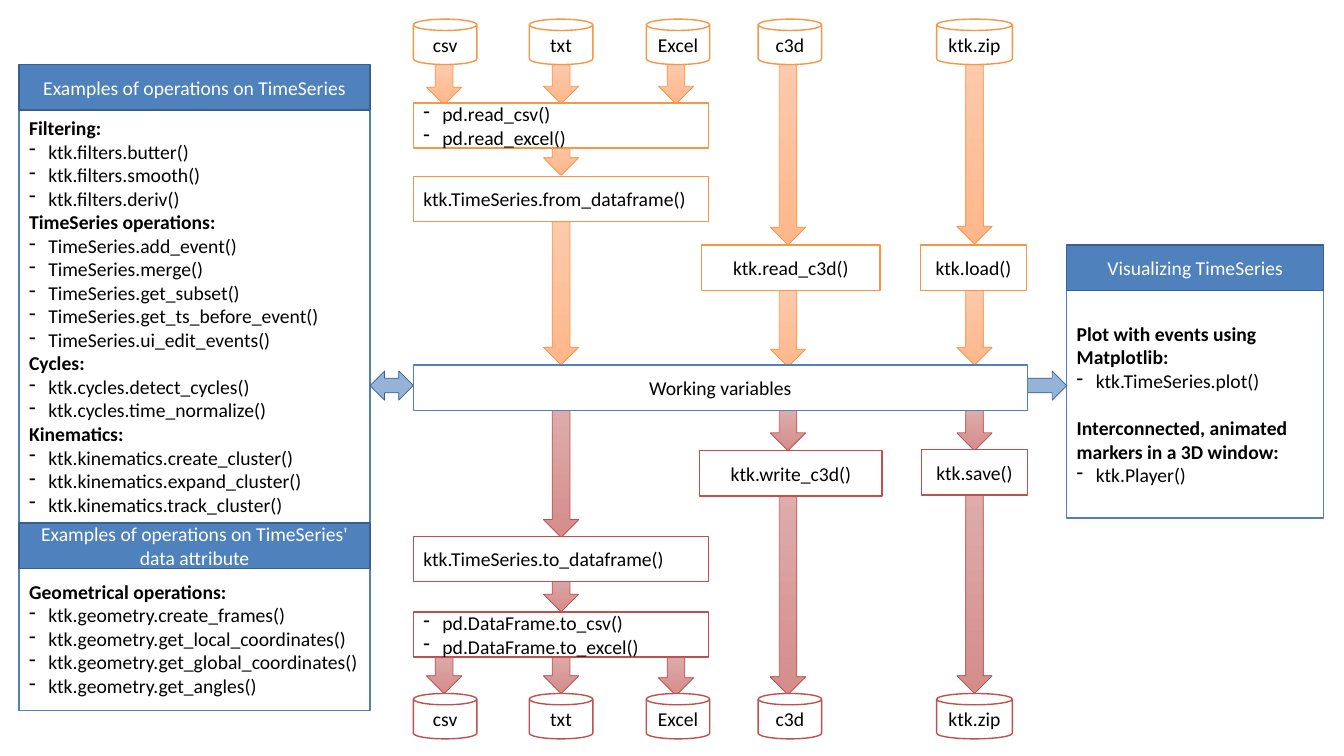
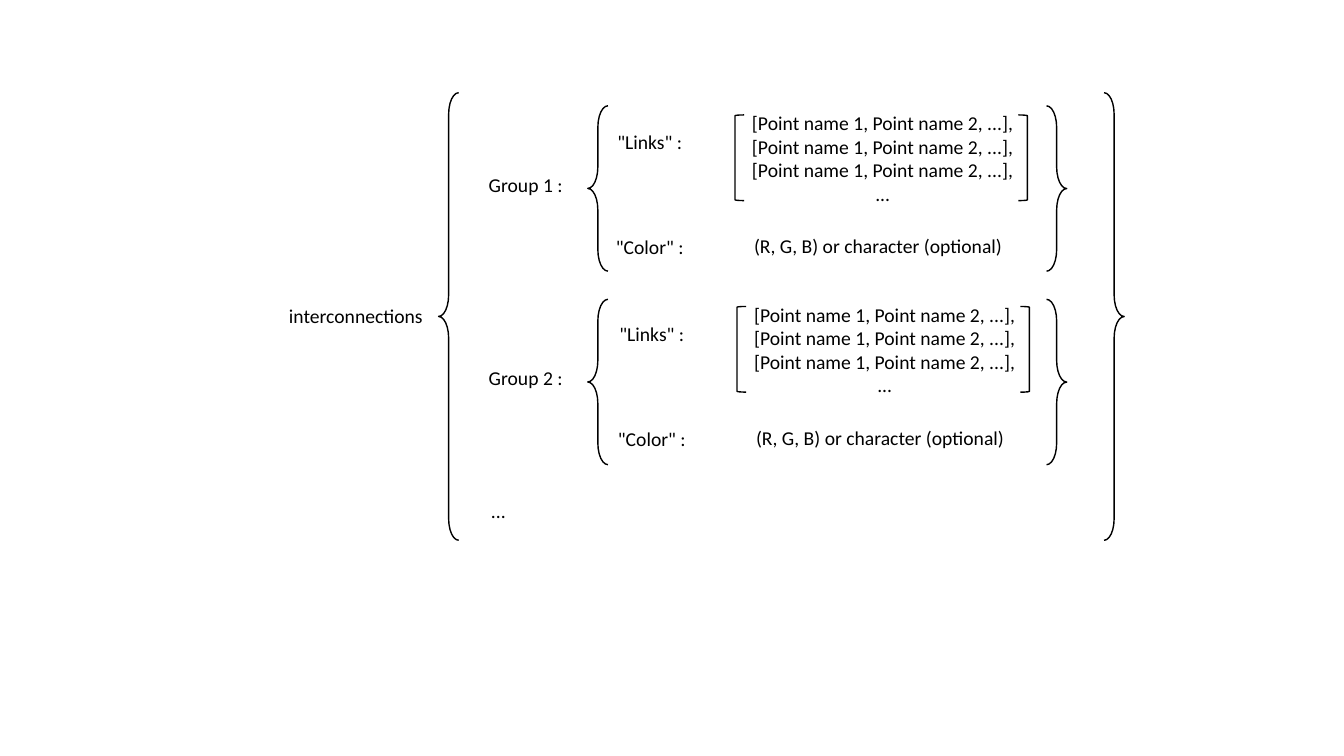
from lxml.etree import SubElement
from pptx import Presentation
from pptx.dml.color import RGBColor
from pptx.enum.shapes import MSO_SHAPE as SHAPE
from pptx.enum.text import MSO_ANCHOR as ANCHOR, PP_ALIGN as ALIGN
from pptx.oxml.ns import qn
from pptx.util import Pt

PX = 9144  # 100 px to the inch
FONT = "Calibri"
TEXT_SIZE = Pt(14)
INDENT = 19 * PX
COLORS = {
    "white": "FFFFFF", "black": "000000",
    "blue": "4F81BD", "dark blue": "3A5F8C", "light blue": "95B3D7",
    "orange": "F79646", "orange top": "FDCAAC", "orange bottom": "FFB68A",
    "red": "C0504D", "red top": "DDACAB", "red bottom": "D48D8B",
}
RGB = {name: RGBColor.from_string(value) for name, value in COLORS.items()}


def write_text(shape, lines, align=ALIGN.CENTER, color="black", wrap=True):
    """Fill a shape with lines; "- " starts a bullet and "# " a bold heading."""
    frame = shape.text_frame
    frame.word_wrap = wrap
    frame.vertical_anchor = ANCHOR.MIDDLE
    for index, line in enumerate(lines):
        paragraph = frame.add_paragraph() if index else frame.paragraphs[0]
        paragraph.text = line.removeprefix("- ").removeprefix("# ")
        paragraph.alignment = align
        paragraph.font.name = FONT
        paragraph.font.size = TEXT_SIZE
        for run in paragraph.runs:
            run.font.name = FONT
            run.font.size = TEXT_SIZE
            run.font.bold = line.startswith("# ")
            run.font.color.rgb = RGB[color]
        if line.startswith("- "):
            properties = paragraph._p.get_or_add_pPr()
            properties.set("marL", str(INDENT))
            properties.set("indent", str(-INDENT))
            SubElement(properties, qn("a:buChar"), char="-")


def add_shape(slide, kind, bounds, line, fill=None, weight=1):
    """Add a flat preset shape at left, top, width, height in px."""
    shape = slide.shapes.add_shape(kind, *(value * PX for value in bounds))
    shape.shadow.inherit = False
    shape.line.color.rgb = RGB[line]
    shape.line.width = Pt(weight)
    if fill:
        shape.fill.solid()
        shape.fill.fore_color.rgb = RGB[fill]
    else:
        shape.fill.background()
    return shape


presentation = Presentation()
presentation.slide_width = 1333 * PX
presentation.slide_height = 750 * PX
blank_layout = presentation.slide_layouts[6]

# Slide 1: reading, working with and writing data
slide = presentation.slides.add_slide(blank_layout)
BOX_HEIGHT = 45
ARROW_WIDTH = 35
ARROW_LEFT = {"csv": 423, "txt": 539, "Excel": 653, "c3d": 764, "ktk.zip": 949}
FILES = [("csv", 410, 63), ("txt", 525, 63), ("Excel", 641, 63),
         ("c3d", 752, 63), ("ktk.zip", 929, 75)]

# Each flow: colour, top of its files, arrows (column, top, bottom),
# boxes (left, top, width, alignment, lines)
flows = [
    ("orange", 19,
     [("c3d", 288, 364), ("txt", 220, 362), ("txt", 134, 174),
      ("c3d", 63, 243), ("csv", 64, 104), ("Excel", 63, 103),
      ("txt", 63, 103), ("ktk.zip", 286, 362), ("ktk.zip", 62, 242)],
     [(410, 102, 293, ALIGN.LEFT, ["- pd.read_csv()", "- pd.read_excel()"]),
      (410, 175, 293, ALIGN.LEFT, ["ktk.TimeSeries.from_dataframe()"]),
      (696, 243, 177, ALIGN.CENTER, ["ktk.read_c3d()"]),
      (913, 243, 105, ALIGN.CENTER, ["ktk.load()"])]),
    ("red", 688,
     [("txt", 567, 607), ("txt", 407, 533), ("c3d", 407, 447),
      ("ktk.zip", 407, 447), ("csv", 648, 688), ("txt", 648, 688),
      ("Excel", 650, 690), ("ktk.zip", 491, 688), ("c3d", 491, 689)],
     [(410, 607, 293, ALIGN.LEFT,
       ["- pd.DataFrame.to_csv()", "- pd.DataFrame.to_excel()"]),
      (410, 532, 293, ALIGN.LEFT, ["ktk.TimeSeries.to_dataframe()"]),
      (694, 447, 181, ALIGN.CENTER, ["ktk.write_c3d()"]),
      (914, 446, 105, ALIGN.CENTER, ["ktk.save()"])]),
]
for color, files_top, arrows, boxes in flows:
    for column, top, bottom in arrows:
        bounds = (ARROW_LEFT[column], top, ARROW_WIDTH, bottom - top)
        arrow = add_shape(slide, SHAPE.DOWN_ARROW, bounds, color, weight=0.5)
        arrow.fill.gradient()
        arrow.fill.gradient_angle = 270
        for stop, end in zip(arrow.fill.gradient_stops, ("top", "bottom")):
            stop.color.rgb = RGB[f"{color} {end}"]
    for name, left, width in FILES:
        bounds = (left, files_top, width, BOX_HEIGHT)
        write_text(add_shape(slide, SHAPE.CAN, bounds, color, "white"), [name])
    for left, top, width, align, lines in boxes:
        bounds = (left, top, width, BOX_HEIGHT)
        box = add_shape(slide, SHAPE.RECTANGLE, bounds, color, "white")
        write_text(box, lines, align)

# Panels: left, header top, width, body top, body height, header, body lines
panels = [
    (19, 64, 348, 108, 411, "Examples of operations on TimeSeries", [
        "# Filtering:",
        "- ktk.filters.butter()",
        "- ktk.filters.smooth()",
        "- ktk.filters.deriv()",
        "# TimeSeries operations:",
        "- TimeSeries.add_event()",
        "- TimeSeries.merge()",
        "- TimeSeries.get_subset()",
        "- TimeSeries.get_ts_before_event()",
        "- TimeSeries.ui_edit_events()",
        "# Cycles:",
        "- ktk.cycles.detect_cycles()",
        "- ktk.cycles.time_normalize()",
        "# Kinematics:",
        "- ktk.kinematics.create_cluster()",
        "- ktk.kinematics.expand_cluster()",
        "- ktk.kinematics.track_cluster()"]),
    (19, 519, 348, 562, 143,
     "Examples of operations on TimeSeries' data attribute", [
         "# Geometrical operations:",
         "- ktk.geometry.create_frames()",
         "- ktk.geometry.get_local_coordinates()",
         "- ktk.geometry.get_global_coordinates()",
         "- ktk.geometry.get_angles()"]),
    (1058, 243, 255, 288, 226, "Visualizing TimeSeries", [
        "# Plot with events using Matplotlib:",
        "- ktk.TimeSeries.plot()",
        "# Interconnected, animated markers in a 3D window:",
        "- ktk.Player()"]),
]
for left, top, width, body_top, body_height, title, lines in panels:
    bounds = (left, body_top, width, body_height)
    body = add_shape(slide, SHAPE.RECTANGLE, bounds, "blue", "white")
    write_text(body, lines, ALIGN.LEFT)
    bounds = (left, top, width, BOX_HEIGHT)
    header = add_shape(slide, SHAPE.RECTANGLE, bounds, "dark blue", "blue")
    write_text(header, [title], color="white")
# The last panel keeps one line of space between its two parts
body.text_frame.paragraphs[2].space_before = Pt(17)

for kind, left, width in [(SHAPE.LEFT_RIGHT_ARROW, 367, 43),
                          (SHAPE.RIGHT_ARROW, 1019, 39)]:
    add_shape(slide, kind, (left, 368, width, 29), "dark blue", "light blue", 0.5)
working_box = add_shape(slide, SHAPE.RECTANGLE, (410, 362, 609, BOX_HEIGHT),
                        "blue", "white")
write_text(working_box, ["Working variables"])

# Slide 2: structure of the interconnections
slide = presentation.slides.add_slide(blank_layout)
GROUP_STEP = 192
POINTS = ["[Point name 1, Point name 2, ...],"] * 3 + ["..."]

# Delimiters: kind, left of the opening and closing one, top, width, height
delimiters = [(SHAPE.LEFT_BRACE, 435, 1095, 92, 20, 444)]
# Labels: left, top, width, height, alignment, wrap, lines
labels = [(270, 297, 166, 32, ALIGN.CENTER, True, ["interconnections"]),
          (477, 491, 92, 32, ALIGN.LEFT, True, ["..."])]
for group in range(2):
    brace_top = 105 + group * GROUP_STEP
    shift, drop = group * 2, group * 190
    delimiters += [
        (SHAPE.LEFT_BRACE, 583, 1038, brace_top, 20, 164),
        (SHAPE.LEFT_BRACKET, 729 + shift, 1010 + shift, 114 + drop, 9, 85)]
    labels += [
        (470, brace_top + 62, 103, 32, ALIGN.CENTER, True, [f"Group {group + 1} :"]),
        (592 + shift, 125 + drop, 105, 32, ALIGN.CENTER, True, ['"Links" :']),
        (735 + shift, 105 + drop, 281, 104, ALIGN.CENTER, False, POINTS),
        (592 + shift, 229 + drop, 105, 32, ALIGN.CENTER, True, ['"Color" :']),
        (738 + shift, 227 + drop, 269, 34, ALIGN.LEFT, False,
         ["(R, G, B) or character (optional)"])]

for kind, opening, closing, top, width, height in delimiters:
    for left, rotation in ((opening, 0), (closing, 180)):
        delimiter = add_shape(slide, kind, (left, top, width, height), "black")
        delimiter.rotation = rotation
        if kind == SHAPE.LEFT_BRACE:
            delimiter.adjustments[0] = 1.07
for left, top, width, height, align, wrap, lines in labels:
    label = slide.shapes.add_textbox(left * PX, top * PX, width * PX, height * PX)
    write_text(label, lines, align, wrap=wrap)

presentation.save("out.pptx")
